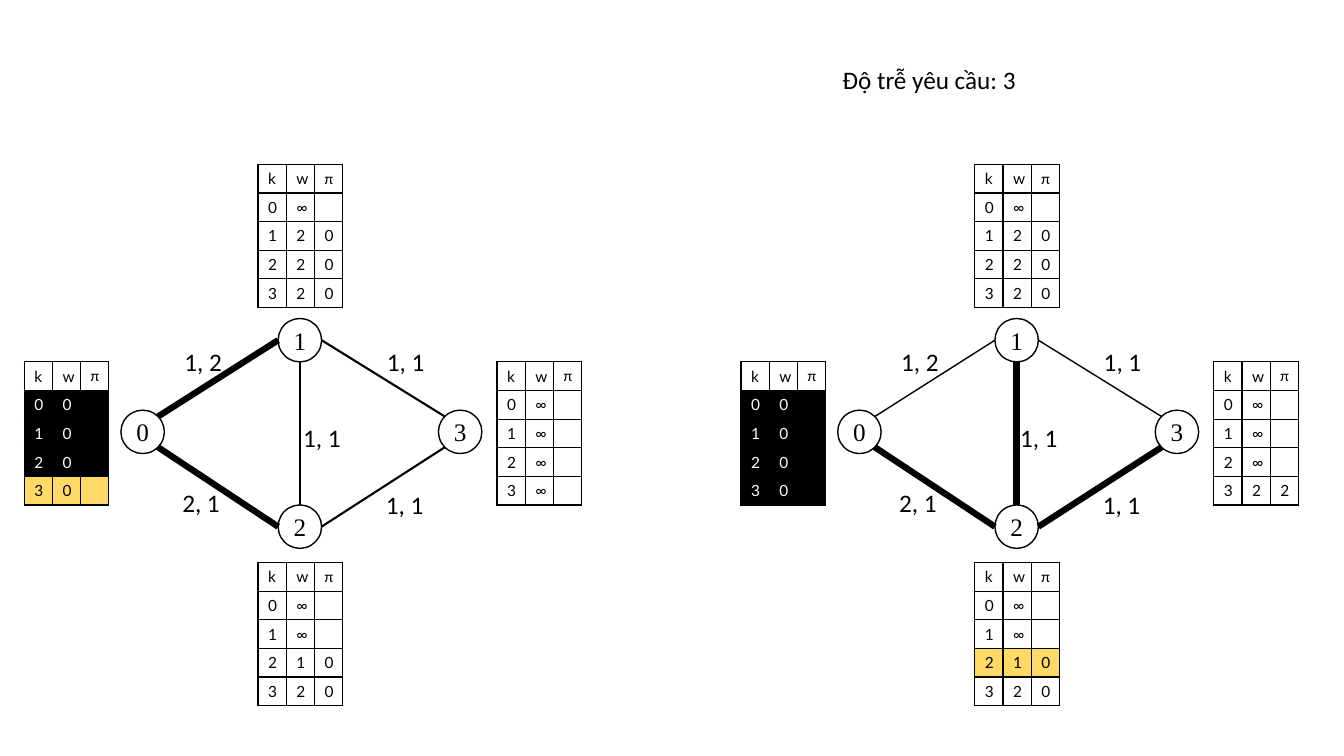
from math import cos, radians, sin

from lxml.etree import SubElement
from pptx import Presentation
from pptx.dml.color import RGBColor
from pptx.enum.shapes import MSO_CONNECTOR, MSO_SHAPE
from pptx.enum.text import MSO_ANCHOR, MSO_AUTO_SIZE, PP_ALIGN
from pptx.oxml.ns import qn
from pptx.util import Pt

# Content
TITLE = "Độ trễ yêu cầu: 3"
HEAD = ("k", "w", "π")
ONE = [("∞", ""), ("2", "0"), ("2", "0"), ("2", "0")]
TWO = [("∞", ""), ("∞", ""), ("1", "0"), ("2", "0")]
ZERO = [("0", "")] * 4
FAR = [("∞", "")] * 4
# Each state: (w, π) rows by node, row marks by node and k, bold edges
STATES = [
    {"rows": [ZERO, ONE, TWO, FAR], "thin": 1.5, "bold": {(0, 1), (0, 2)},
     "marks": {(0, 0): "done", (0, 1): "done", (0, 2): "done", (0, 3): "now"}},
    {"rows": [ZERO, ONE, TWO, FAR[:3] + [("2", "2")]], "thin": 1,
     "bold": {(0, 2), (1, 2), (2, 3)},
     "marks": {(0, 0): "done", (0, 1): "done", (0, 2): "done", (0, 3): "done",
               (2, 2): "now"}},
]
# Ends, angles at which the edge leaves each circle, label, label corner
EDGES = [
    (0, 1, -45, 180, "1, 2", (124.6, 244.1)),
    (0, 2, 45, 180, "2, 1", (123.1, 344.2)),
    (1, 3, 0, -135, "1, 1", (269.3, 244.1)),
    (2, 3, 0, 135, "1, 1", (268.6, 346.3)),
    (1, 2, 90, -90, "1, 1", (209.5, 298.1)),
]

# Theme and layout
THEME = {
    "ink": RGBColor(0, 0, 0), "paper": RGBColor(255, 255, 255),
    "gold": RGBColor(0xFF, 0xD9, 0x66),
    "text": "Calibri", "cell": "Lato", "node": "Times New Roman",
    "big": Pt(18), "small": Pt(11), "rule": Pt(1), "bold": Pt(4.5),
}
MARKS = {"done": ("ink", "paper"), "now": ("gold", "ink"), None: (None, "ink")}
STEP = 512
RAD = 15.5
NODES = [(101.9, 308.5), (214.2, 243), (214.2, 376.2), (328.7, 308.5)]
GRIDS = [(17.3, 258.5), (184.3, 117.4), (184.3, 401.8), (355, 258.5)]
COL, ROW = 20.16, 20.45

deck = Presentation()
deck.slide_width, deck.slide_height = Pt(960), Pt(540)
slide = deck.slides.add_slide(deck.slide_layouts[6])
shapes = slide.shapes


def write(para, text, face, size, ink="ink"):
    run = para.add_run()
    run.text = text
    for key, val in {"name": THEME[face], "size": THEME[size]}.items():
        setattr(run.font, key, val)
    run.font.color.rgb = THEME[ink]


def label(text, left, top, wide):
    frame = shapes.add_textbox(Pt(left), Pt(top), Pt(wide), Pt(28.8)).text_frame
    style = {"word_wrap": False, "auto_size": MSO_AUTO_SIZE.SHAPE_TO_FIT_TEXT}
    for key, val in style.items():
        setattr(frame, key, val)
    write(frame.paragraphs[0], text, "text", "big")


def circle(text, x, y):
    node = shapes.add_shape(MSO_SHAPE.OVAL, Pt(x - RAD), Pt(y - RAD),
                            Pt(2 * RAD), Pt(2 * RAD))
    node.shadow.inherit = False
    node.fill.solid()
    node.fill.fore_color.rgb = THEME["paper"]
    node.line.color.rgb = THEME["ink"]
    node.line.width = THEME["rule"]
    frame = node.text_frame
    style = {"margin_left": 0, "margin_right": 0, "margin_top": 0,
             "margin_bottom": 0, "vertical_anchor": MSO_ANCHOR.MIDDLE}
    for key, val in style.items():
        setattr(frame, key, val)
    frame.paragraphs[0].alignment = PP_ALIGN.CENTER
    write(frame.paragraphs[0], text, "node", "big")


def rim(node, angle, dx):
    x, y = NODES[node]
    turn = radians(angle)
    return Pt(x + dx + RAD * cos(turn)), Pt(y + RAD * sin(turn))


def edge(start, end, width):
    line = shapes.add_connector(MSO_CONNECTOR.STRAIGHT, *start, *end)
    line.line.color.rgb = THEME["ink"]
    line.line.width = width
    SubElement(line._element.spPr, qn("a:effectLst"))


def border(cell):
    props = cell._tc.get_or_add_tcPr()
    for side in ("lnL", "lnR", "lnT", "lnB"):
        line = SubElement(props, qn("a:" + side), w=str(THEME["rule"]))
        fill = SubElement(line, qn("a:solidFill"))
        SubElement(fill, qn("a:srgbClr"), val=str(THEME["ink"]))


def grid(rows, marks, left, top):
    size = len(rows), len(HEAD)
    table = shapes.add_table(*size, Pt(left), Pt(top), Pt(COL * size[1]),
                             Pt(ROW * size[0])).table
    table.first_row = table.horz_banding = False
    for col in table.columns:
        col.width = Pt(COL)
    for row, texts, mark in zip(table.rows, rows, marks):
        row.height = Pt(ROW)
        back, ink = MARKS[mark]
        for cell, text in zip(row.cells, texts):
            border(cell)
            if back:
                cell.fill.solid()
                cell.fill.fore_color.rgb = THEME[back]
            else:
                cell.fill.background()
            para = cell.text_frame.paragraphs[0]
            if text:
                face = "text" if text == "π" else "cell"
                write(para, text, face, "small", ink)
            else:  # keeps empty cells from growing the row
                SubElement(para._p, qn("a:endParaRPr"),
                           sz=str(int(THEME["small"].pt * 100)))


# Title
label(TITLE, 594.7, 42.5, 139.7)

# One graph with its tables per state
for num, state in enumerate(STATES):
    dx = num * STEP
    for name, (x, y) in enumerate(NODES):
        circle(str(name), x + dx, y)
    for one, two, out, into, *_ in EDGES:
        bold = (one, two) in state["bold"]
        edge(rim(one, out, dx), rim(two, into, dx),
             THEME["bold"] if bold else Pt(state["thin"]))
    for *_, text, (x, y) in EDGES:
        label(text, x + dx, y, 41.8)
    for node, (x, y) in enumerate(GRIDS):
        body = [(str(k), *pair) for k, pair in enumerate(state["rows"][node])]
        marks = [None] + [state["marks"].get((node, k)) for k in range(len(body))]
        grid([HEAD] + body, marks, x + dx, y)

deck.save("out.pptx")
